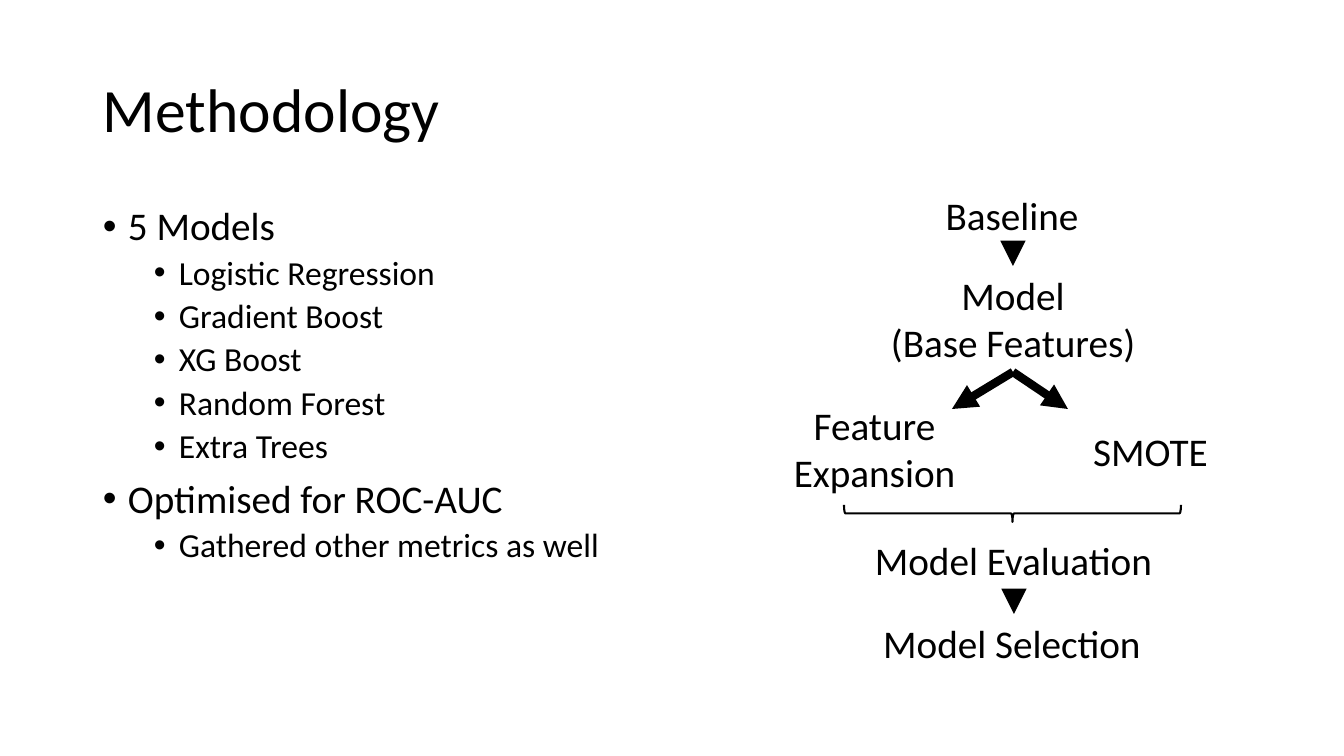
from lxml import etree
from pptx import Presentation
from pptx.dml.color import RGBColor
from pptx.enum.shapes import MSO_CONNECTOR, MSO_SHAPE
from pptx.enum.text import MSO_ANCHOR, PP_ALIGN
from pptx.oxml.ns import qn
from pptx.util import Emu, Pt

PX = 9071.43  # EMU per pixel at 100.8 pixels to the inch
BLACK = "000000"
LINE, BRACE = MSO_CONNECTOR.STRAIGHT, MSO_SHAPE.RIGHT_BRACE
LEFT, CENTER = PP_ALIGN.LEFT, PP_ALIGN.CENTER
TOP, MIDDLE = MSO_ANCHOR.TOP, MSO_ANCHOR.MIDDLE

MODELS = ["Logistic Regression", "Gradient Boost", "XG Boost",
          "Random Forest", "Extra Trees"]
POINTS = [("5 Models", MODELS),
          ("Optimised for ROC-AUC", ["Gathered other metrics as well"])]
# Bullet levels: font size, space before, left margin in pixels
LEVELS = [(28, 10, 25), (24, 5, 76)]
HANG = 25

# Steps of the flow: text, left, top, width, height
STEPS = [("Baseline", 149, 0, 188, 57),
         ("Model\n(Base Features)", 106, 80, 276, 105),
         ("SMOTE", 288, 236, 187, 57),
         ("Feature Expansion", 0, 210, 211, 105),
         ("Model Evaluation", 80, 345, 329, 57),
         ("Model Selection", 77, 428, 332, 57)]
# Arrows of the flow: start x, y, end x, y
ARROWS = [(244, 58, 244, 80), (244, 186, 183, 223),
          (244, 186, 299, 223), (245, 405, 245, 428)]


def px(*nums):
    """Turn pixels into a list of EMU lengths."""
    return [Emu(round(n * PX)) for n in nums]


def color(code):
    """Turn a hex string into a colour."""
    return RGBColor.from_string(code)


def style(para, size, **form):
    """Set the font and the paragraph format."""
    para.font.name, para.font.size = "Calibri", Pt(size)
    para.font.color.rgb = color(BLACK)
    for key, value in form.items():
        setattr(para, key, value)


def add_text(slide, box, text, size, anchor=TOP, **form):
    """Add a wrapped text box, one paragraph for each line of text."""
    frame = slide.shapes.add_textbox(*px(*box)).text_frame
    frame.word_wrap, frame.vertical_anchor = True, anchor
    frame.text = text
    for para in frame.paragraphs:
        style(para, size, **form)
    return frame


def add_bullet(para, level):
    """Give a paragraph the bullet and indent of its level."""
    size, space, left = LEVELS[level]
    style(para, size, level=level, line_spacing=0.9, space_before=Pt(space))
    props = para._p.get_or_add_pPr()
    margin, hang = px(left, -HANG)
    props.set("marL", str(margin))
    props.set("indent", str(hang))
    mark = {"buFont": ("typeface", "Arial"), "buChar": ("char", "•")}
    spot = props.find(qn("a:defRPr"))
    for tag, (key, value) in mark.items():
        node = etree.Element(qn("a:" + tag))
        node.set(key, value)
        if spot is None:
            props.append(node)
        else:
            spot.addprevious(node)


def add_title(slide, box):
    """Place the slide title."""
    add_text(slide, box, "Methodology", 44, MIDDLE,
             alignment=LEFT, line_spacing=0.9)


def add_points(slide, box):
    """Place the bullet list with its two levels."""
    rows = []
    for head, subs in POINTS:
        rows += [(head, 0)] + [(sub, 1) for sub in subs]
    frame = add_text(slide, box, "\n".join(text for text, _ in rows), 28)
    for para, (_, level) in zip(frame.paragraphs, rows):
        add_bullet(para, level)


def add_arrow(slide, ends):
    """Draw a thick line with a triangle at its end."""
    link = slide.shapes.add_connector(LINE, *px(*ends))
    link.line.color.rgb, link.line.width = color(BLACK), Pt(6)
    head = etree.SubElement(link.line._get_or_add_ln(), qn("a:tailEnd"))
    head.set("type", "triangle")
    etree.SubElement(link._element.spPr, qn("a:effectLst"))


def add_brace(slide, box):
    """Draw the brace, turned to point down."""
    brace = slide.shapes.add_shape(BRACE, *px(*box))
    brace.rotation, brace.shadow.inherit = 90, False
    brace.fill.background()
    brace.line.color.rgb, brace.line.width = color(BLACK), Pt(1.5)


def add_flow(slide, left, top):
    """Place the flow of steps from its top left corner."""
    for text, x, y, wide, high in STEPS:
        add_text(slide, (left + x, top + y, wide, high), text, 28,
                 alignment=CENTER)
    for x1, y1, x2, y2 in ARROWS:
        add_arrow(slide, (left + x1, top + y1, left + x2, top + y2))
    add_brace(slide, (left + 235, top + 159, 17, 337))


def main():
    """Build the slide and save it."""
    deck = Presentation()
    deck.slide_width, deck.slide_height = px(1344, 756)
    slide = deck.slides.add_slide(deck.slide_layouts[6])
    add_title(slide, (93, 40, 1159, 146))
    add_points(slide, (93, 202, 1159, 480))
    add_flow(slide, 769, 186)
    deck.save("out.pptx")


main()
